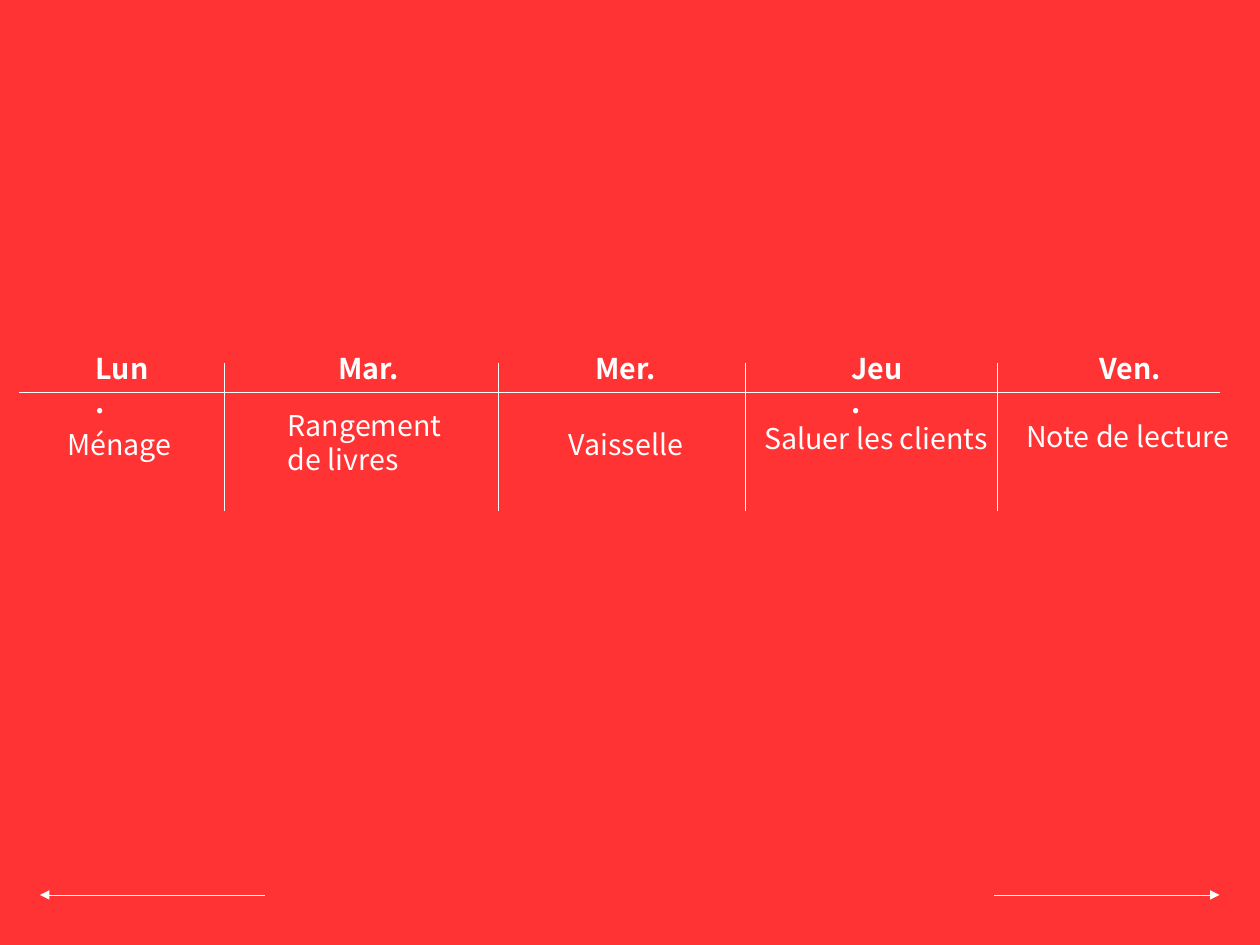
from pptx import Presentation
from pptx import util as u
from pptx.dml.color import RGBColor
from pptx.enum import shapes, text
from pptx.oxml import ns, xmlchemy

RED = RGBColor(0xFF, 0x33, 0x33)
WHITE = RGBColor(0xFF, 0xFF, 0xFF)
FONT = "Noto Sans CJK JP"
WIDTH, HEIGHT = u.Cm(28), u.Cm(21)

# Timetable grid, in inches
DIVIDERS = [1.96, 4.36, 6.52, 8.73]
DIVIDER_TOP, DIVIDER_BOTTOM = 3.18, 4.47
RULE_LEFT, RULE_RIGHT, RULE_Y = 0.17, 10.67, 3.43
DAY_TOP, DAY_HEIGHT = 3.02, 0.44

# Arrows at the foot
ARROW_Y, ARROW_LENGTH, ARROW_LEFT = 7.83, 1.97, 0.35

# Day, its left and width; task lines, their left, top and width
SCHEDULE = [
    ("Lun.", 0.74, 0.7, ["Ménage"], 0.49, 3.69, 1.15),
    ("Mar.", 2.86, 0.74, ["Rangement", "de livres"], 2.42, 3.52, 1.63),
    ("Mer.", 5.11, 0.74, ["Vaisselle"], 4.88, 3.69, 1.23),
    ("Jeu.", 7.35, 0.66, ["Saluer les clients"], 6.59, 3.63, 2.17),
    ("Ven.", 9.52, 0.74, ["Note de lecture"], 8.88, 3.62, 2.0),
]


def add_line(slide, start, end, arrow=None):
    """Draw a white hairline; arrow is "headEnd", "tailEnd" or None."""
    points = [u.Inches(value) for value in (*start, *end)]
    line = slide.shapes.add_connector(shapes.MSO_CONNECTOR.STRAIGHT, *points)
    line.line.color.rgb = WHITE
    properties = line._element.find(ns.qn("p:spPr"))
    outline = properties.find(ns.qn("a:ln"))
    outline.set("w", "0")
    if arrow:
        head = xmlchemy.OxmlElement(f"a:{arrow}")
        head.set("type", "triangle")
        outline.append(head)
    properties.append(xmlchemy.OxmlElement("a:effectLst"))


def add_label(slide, lines, left, top, width, height, bold=False):
    """Write white text, one paragraph for each line."""
    box = slide.shapes.add_textbox(*map(u.Inches, (left, top, width, height)))
    frame = box.text_frame
    frame.word_wrap = True
    frame.auto_size = text.MSO_AUTO_SIZE.SHAPE_TO_FIT_TEXT
    for index, line in enumerate(lines):
        paragraph = frame.add_paragraph() if index else frame.paragraphs[0]
        run = paragraph.add_run()
        run.text = line
        run.font.name = FONT
        run.font.size = u.Pt(18)
        run.font.bold = bold
        run.font.color.rgb = WHITE


def main():
    presentation = Presentation()
    presentation.slide_width = WIDTH
    presentation.slide_height = HEIGHT
    slide = presentation.slides.add_slide(presentation.slide_layouts[6])
    slide.background.fill.solid()
    slide.background.fill.fore_color.rgb = RED

    # Arrows pointing to both sides
    for left, arrow in ((ARROW_LEFT, "headEnd"), (RULE_RIGHT - ARROW_LENGTH, "tailEnd")):
        add_line(slide, (left, ARROW_Y), (left + ARROW_LENGTH, ARROW_Y), arrow)

    # Timetable lines
    for x in DIVIDERS:
        add_line(slide, (x, DIVIDER_TOP), (x, DIVIDER_BOTTOM))
    add_line(slide, (RULE_LEFT, RULE_Y), (RULE_RIGHT, RULE_Y))

    # Days and tasks
    for day, day_left, day_width, task, left, top, width in SCHEDULE:
        add_label(slide, [day], day_left, DAY_TOP, day_width, DAY_HEIGHT, bold=True)
        add_label(slide, task, left, top, width, 0.1 + 0.4 * len(task))

    presentation.save("out.pptx")


if __name__ == "__main__":
    main()
